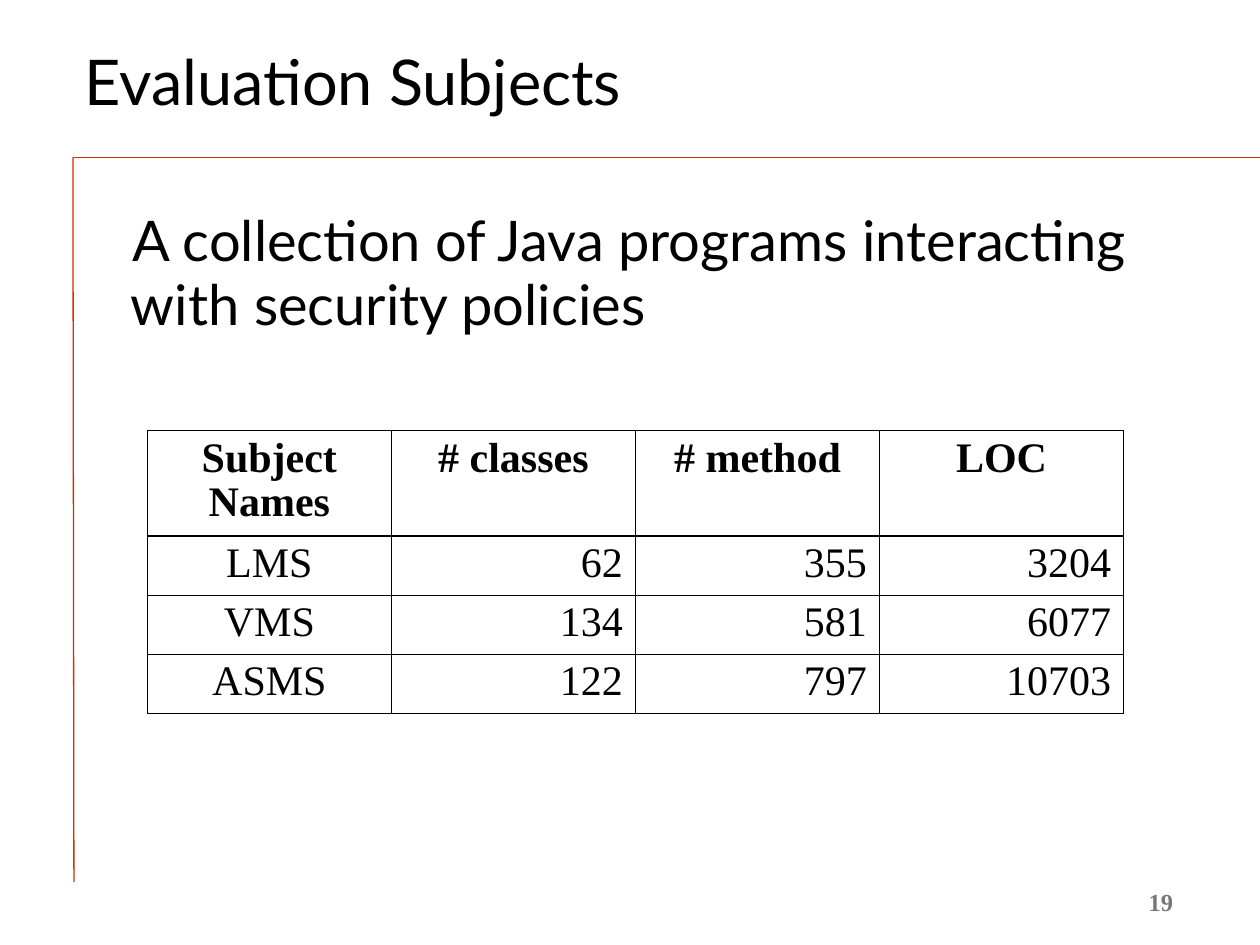
from dataclasses import dataclass

from lxml.etree import SubElement
from pptx import Presentation
from pptx.dml.color import RGBColor
from pptx.enum.shapes import MSO_CONNECTOR as Conn
from pptx.enum.text import MSO_ANCHOR as Anchor, MSO_AUTO_SIZE as AutoSize, PP_ALIGN as Align
from pptx.oxml.ns import qn
from pptx.util import Cm, Pt

COLORS = {"text": "000000", "rule": "CC3300", "number": "777777", "cell": "FFFFFF"}
SANS, SERIF = "Lato", "Times New Roman"


@dataclass(frozen=True)
class Style:
    font: str
    size: float
    color: str = "text"
    bold: bool = False
    align: Align = Align.LEFT


@dataclass(frozen=True)
class Rule:
    x1: float
    y1: float
    x2: float
    y2: float
    width: float


TITLE = Style(SANS, 36)
BODY = Style(SANS, 32)
NUMBER = Style(SERIF, 14, "number", True, Align.RIGHT)
HEAD = Style(SERIF, 24, bold=True, align=Align.CENTER)
NAME = Style(SERIF, 24, align=Align.CENTER)
VALUE = Style(SERIF, 24, align=Align.RIGHT)

RULES = [Rule(1.47, 3.17, 25.4, 3.17, 0.26), Rule(1.47, 3.17, 1.49, 17.78, 0.74)]
ROWS = [
    ("Subject Names", "# classes", "# method", "LOC"),
    ("LMS", "62", "355", "3204"),
    ("VMS", "134", "581", "6077"),
    ("ASMS", "122", "797", "10703"),
]
COL_W, HEAD_H, ROW_H = 4.92, 2.13, 1.19


def rgb(name: str) -> RGBColor:
    return RGBColor.from_string(COLORS[name])


def write(tf, text: str, style: Style):
    p = tf.paragraphs[0]
    p.alignment, p.line_spacing = style.align, 0.95
    r = p.add_run()
    r.text = text
    f = r.font
    f.name, f.size, f.bold = style.font, Pt(style.size), style.bold
    f.color.rgb = rgb(style.color)
    return p


def place(sp, left: float, top: float, width: float, height: float) -> None:
    sp.left, sp.top, sp.width, sp.height = Cm(left), Cm(top), Cm(width), Cm(height)


def setup(tf, anchor: Anchor, margin: float = 0) -> None:
    tf.word_wrap, tf.auto_size, tf.vertical_anchor = True, AutoSize.NONE, anchor
    tf.margin_left = tf.margin_right = Cm(margin)
    tf.margin_top = tf.margin_bottom = Cm(margin / 2)


def draw_rule(shapes, rule: Rule) -> None:
    line = shapes.add_connector(Conn.STRAIGHT, Cm(rule.x1), Cm(rule.y1), Cm(rule.x2), Cm(rule.y2))
    line.line.color.rgb, line.line.width = rgb("rule"), Pt(rule.width)
    SubElement(line._element.spPr, qn("a:effectLst"))


def format_cell(cell) -> None:
    pr = cell._tc.get_or_add_tcPr()
    for side in ("a:lnL", "a:lnR", "a:lnT", "a:lnB"):
        ln = SubElement(pr, qn(side), w=str(Pt(1)))
        SubElement(SubElement(ln, qn("a:solidFill")), qn("a:srgbClr"), val=COLORS["text"])
    cell.fill.solid()
    cell.fill.fore_color.rgb = rgb("cell")


prs = Presentation()
prs.slide_width, prs.slide_height = Cm(25.4), Cm(19.05)
s = prs.slides.add_slide(prs.slide_layouts[1])

# Frame lines
for rule in RULES:
    draw_rule(s.shapes, rule)

# Title
title = s.shapes.title
place(title, 1.7, 0.43, 22.89, 2.54)
setup(title.text_frame, Anchor.MIDDLE)
write(title.text_frame, "Evaluation Subjects", TITLE)

# Body statement, without a bullet
body = s.placeholders[1]
place(body, 2.34, 4.24, 21.39, 4.78)
setup(body.text_frame, Anchor.TOP)
p = write(body.text_frame, "A collection of Java programs interacting with security policies", BODY)
p.space_before = Pt(8)
pPr = p._p.get_or_add_pPr()
pPr.set("marL", str(Cm(0.3)))
pPr.set("indent", str(Cm(0.03)))
SubElement(pPr, qn("a:buNone"))

# Subjects table
n_rows, n_cols = len(ROWS), len(ROWS[0])
height = HEAD_H + ROW_H * (n_rows - 1)
table = s.shapes.add_table(n_rows, n_cols, Cm(2.97), Cm(8.68), Cm(COL_W * n_cols), Cm(height)).table
for col in table.columns:
    col.width = Cm(COL_W)
for i, texts in enumerate(ROWS):
    table.rows[i].height = Cm(ROW_H if i else HEAD_H)
    for j, text in enumerate(texts):
        cell = table.cell(i, j)
        format_cell(cell)
        write(cell.text_frame, text, HEAD if i == 0 else VALUE if j else NAME)

# Slide number
number = s.shapes.add_textbox(Cm(18.62), Cm(17.78), Cm(5.28), Cm(0.84))
setup(number.text_frame, Anchor.MIDDLE, 0.25)
write(number.text_frame, "19", NUMBER)

prs.save("out.pptx")
